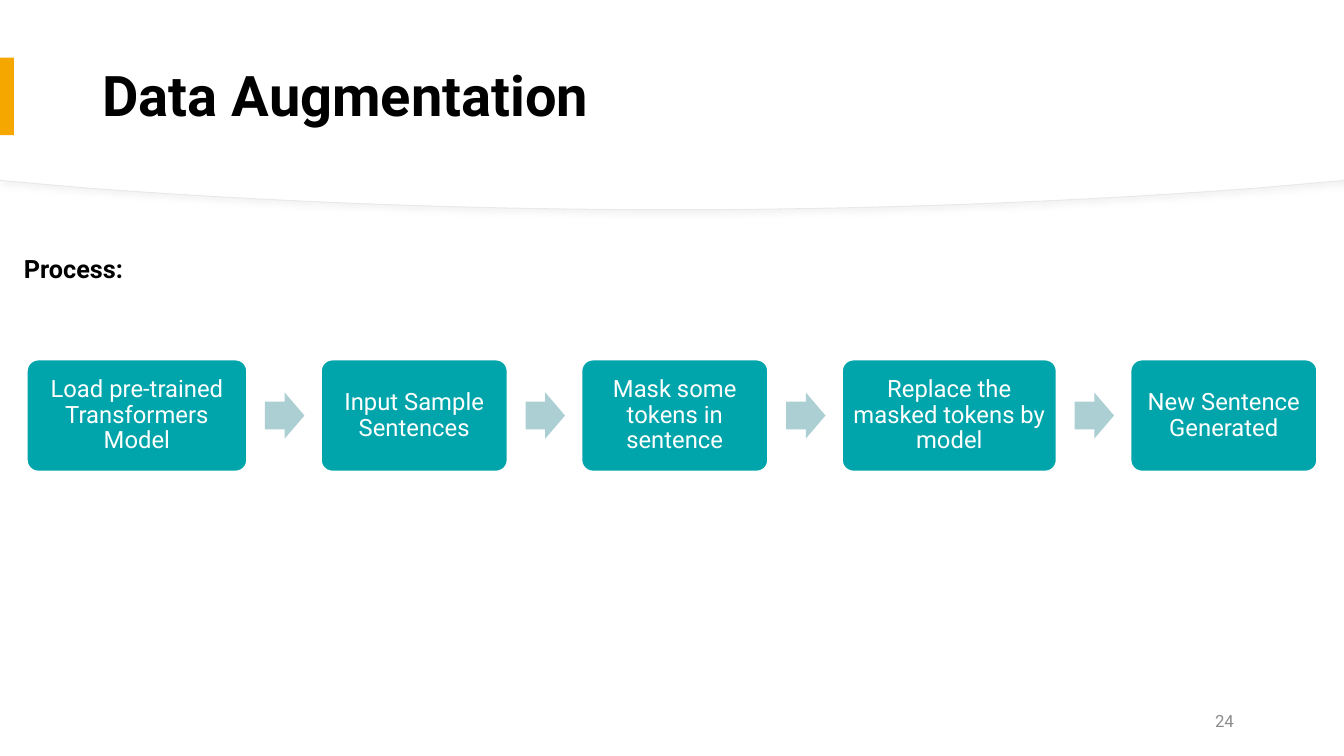
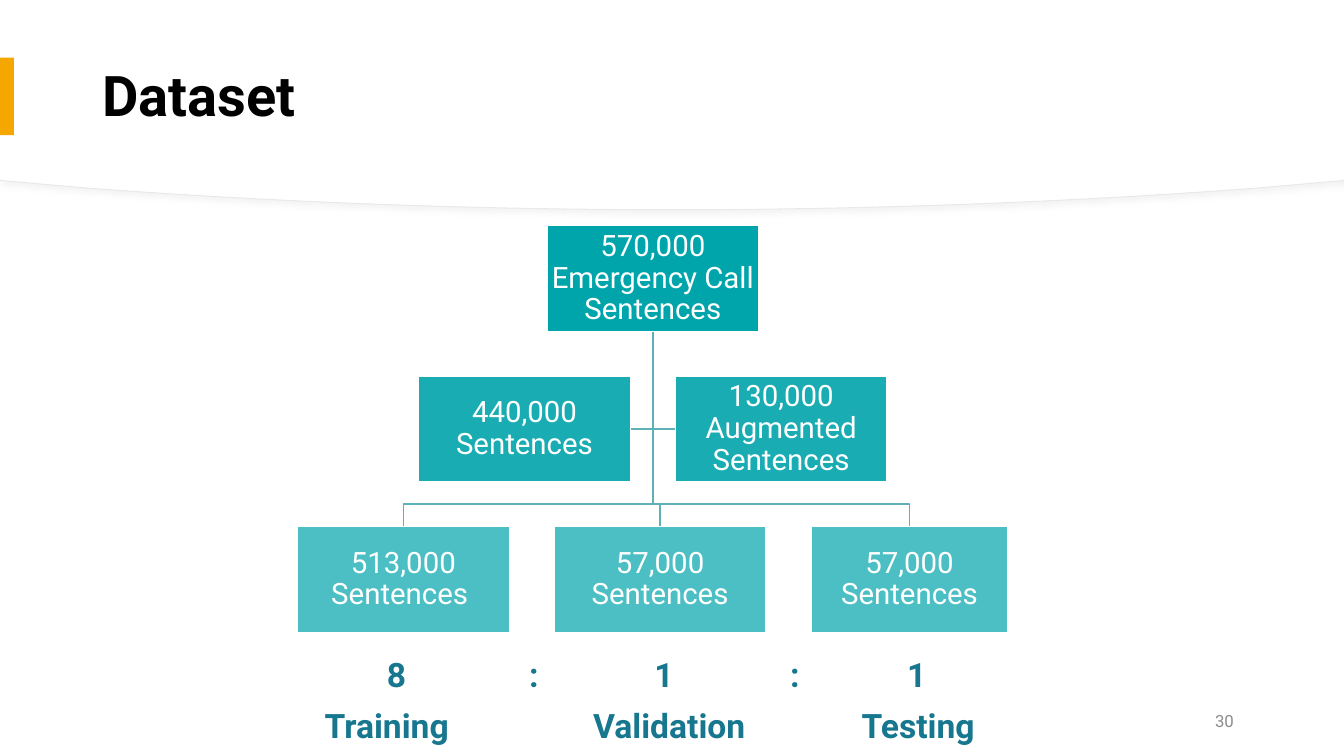
from dataclasses import dataclass

from lxml.etree import SubElement
from pptx import Presentation
from pptx.dml.color import RGBColor
from pptx.enum.shapes import MSO_SHAPE
from pptx.enum.text import MSO_ANCHOR, PP_ALIGN
from pptx.oxml.ns import qn
from pptx.shapes.autoshape import Shape
from pptx.slide import Slide
from pptx.util import Pt

FONT = "Roboto"
COLORS = {
    "white": "FFFFFF",
    "black": "000000",
    "accent": "F5A700",
    "teal": "00A5AB",
    "arrow": "ABCFD2",
    "branch": "5EB1B6",
    "ratio": "16778F",
    "page_number": "8C8C8C",
    "band_edge": "E9E9E9",
    "band_shadow": "D9D9D9",
}
SLIDE_WIDTH, SLIDE_HEIGHT = 960, 540
Point = tuple[float, float]


@dataclass(frozen=True)
class Box:
    left: float
    top: float
    width: float
    height: float

    @property
    def center(self) -> float:
        return self.left + self.width / 2

    @property
    def middle(self) -> float:
        return self.top + self.height / 2

    @property
    def right(self) -> float:
        return self.left + self.width

    @property
    def bottom(self) -> float:
        return self.top + self.height

    def lengths(self) -> tuple[Pt, Pt, Pt, Pt]:
        return Pt(self.left), Pt(self.top), Pt(self.width), Pt(self.height)


@dataclass(frozen=True)
class TextStyle:
    size: float
    color: str
    bold: bool = False
    align: PP_ALIGN = PP_ALIGN.LEFT
    anchor: MSO_ANCHOR = MSO_ANCHOR.MIDDLE
    line_spacing: float = 1.0


@dataclass(frozen=True)
class Step:
    text: str
    width: float


@dataclass(frozen=True)
class TreeLevel:
    texts: tuple[str, ...]
    widths: tuple[float, ...]
    opacity: int


@dataclass(frozen=True)
class TabbedLine:
    text: str
    box: Box
    tab_centers: tuple[float, ...]


TITLE_STYLE = TextStyle(40, "black", bold=True, line_spacing=0.9)
HEADING_STYLE = TextStyle(18, "black", bold=True, anchor=MSO_ANCHOR.TOP)
PAGE_NUMBER_STYLE = TextStyle(12, "page_number", align=PP_ALIGN.RIGHT)
STEP_STYLE = TextStyle(17, "white", align=PP_ALIGN.CENTER, line_spacing=0.9)
NODE_STYLE = TextStyle(21, "white", align=PP_ALIGN.CENTER, line_spacing=0.9)
RATIO_STYLE = TextStyle(24, "ratio", bold=True, anchor=MSO_ANCHOR.TOP)

STEPS = (
    Step("Load pre-trained Transformers Model", 157),
    Step("Input Sample Sentences", 133),
    Step("Mask some tokens in sentence", 133),
    Step("Replace the masked tokens by model", 153),
    Step("New Sentence Generated", 133),
)
STEP_LEFT, STEP_TOP, STEP_HEIGHT, STEP_GAP = 19.3, 257, 79.7, 53.1
ARROW_WIDTH, ARROW_HEIGHT = 28.2, 33

TREE_LEVELS = (
    TreeLevel(("570,000 Emergency Call Sentences",), (151.4,), 100),
    TreeLevel(("440,000 Sentences", "130,000 Augmented Sentences"), (151.4, 151.4), 90),
    TreeLevel(("513,000 Sentences ", "57,000 Sentences", "57,000 Sentences"), (151.4, 151.4, 141), 70),
)
TREE_CENTER, TREE_TOP, TREE_PITCH, NODE_HEIGHT, NODE_GAP = 466.3, 161.3, 107.5, 75.4, 32
BUS_TOP = 360

RATIO_LINES = (
    TabbedLine("8\t:\t1\t:\t1", Box(269.3, 463.7, 400.3, 36), (105, 198, 291.5, 378.5)),
    TabbedLine("Training\tValidation\tTesting", Box(224.8, 500, 486.7, 36), (246.2, 424)),
)


def rgb(name: str) -> RGBColor:
    return RGBColor.from_string(COLORS[name])


def write_text(shape: Shape, text: str, style: TextStyle) -> None:
    frame = shape.text_frame
    frame.word_wrap = True
    frame.vertical_anchor = style.anchor
    frame.text = text
    paragraph = frame.paragraphs[0]
    paragraph.alignment = style.align
    paragraph.line_spacing = style.line_spacing
    for run in paragraph.runs:
        run.font.name = FONT
        run.font.size = Pt(style.size)
        run.font.bold = style.bold
        run.font.color.rgb = rgb(style.color)


def add_text(slide: Slide, box: Box, text: str, style: TextStyle) -> Shape:
    shape = slide.shapes.add_textbox(*box.lengths())
    write_text(shape, text, style)
    return shape


def add_tabbed_line(slide: Slide, line: TabbedLine) -> None:
    shape = add_text(slide, line.box, line.text, RATIO_STYLE)
    properties = shape.text_frame.paragraphs[0]._p.get_or_add_pPr()
    tabs = SubElement(properties, qn("a:tabLst"))
    for center in line.tab_centers:
        SubElement(tabs, qn("a:tab"), pos=str(Pt(center)), algn="ctr")


def set_margins(shape: Shape, margin: float) -> None:
    frame = shape.text_frame
    frame.margin_left = frame.margin_right = Pt(margin)
    frame.margin_top = frame.margin_bottom = Pt(margin)


def paint(shape: Shape, fill: str | None, line: str | None = None, line_width: float = 1) -> None:
    shape.shadow.inherit = False
    if fill is None:
        shape.fill.background()
    else:
        shape.fill.solid()
        shape.fill.fore_color.rgb = rgb(fill)
    if line is None:
        shape.line.fill.background()
    else:
        shape.line.color.rgb = rgb(line)
        shape.line.width = Pt(line_width)


def add_shape(slide: Slide, kind: MSO_SHAPE, box: Box, fill: str, line: str | None = None) -> Shape:
    shape = slide.shapes.add_shape(kind, *box.lengths())
    paint(shape, fill, line)
    return shape


def add_outline(slide: Slide, points: list[Point], close: bool) -> Shape:
    start, *others = [(Pt(x), Pt(y)) for x, y in points]
    builder = slide.shapes.build_freeform(*start, scale=1.0)
    builder.add_line_segments(others, close=close)
    return builder.convert_to_shape()


def set_opacity(shape: Shape, percent: int) -> None:
    color = shape.fill._xPr.find(qn("a:solidFill"))[0]
    SubElement(color, qn("a:alpha"), val=str(percent * 1000))


def add_soft_shadow(shape: Shape) -> None:
    effects = shape._element.spPr.find(qn("a:effectLst"))
    shadow = SubElement(
        effects, qn("a:outerShdw"), blurRad=str(Pt(4)), dist=str(Pt(3)),
        dir=str(45 * 60000), algn="tl", rotWithShape="0",
    )
    color = SubElement(shadow, qn("a:srgbClr"), val=COLORS["band_shadow"])
    SubElement(color, qn("a:alpha"), val="30000")


def bend_segments(shape: Shape, first: int, count: int) -> None:
    """Turn each three straight segments from the given one on into a Bézier curve."""
    segments = list(shape._element.iter(qn("a:lnTo")))[first:first + 3 * count]
    for index in range(0, len(segments), 3):
        curve = segments[index]
        curve.tag = qn("a:cubicBezTo")
        for segment in segments[index + 1:index + 3]:
            curve.append(segment[0])
            segment.getparent().remove(segment)


def add_header_band(slide: Slide, bottom: float, line: str | None) -> Shape:
    """Draw a white band whose lower edge sags towards the middle."""
    left_edge = [
        (0, bottom - 20.9), (65.4, bottom - 15.2), (193, bottom - 5.8), (333.4, bottom),
    ]
    right_edge = [(SLIDE_WIDTH - x, y) for x, y in left_edge]
    points = [(0, 0), (SLIDE_WIDTH, 0), *right_edge, (SLIDE_WIDTH / 2, bottom), *reversed(left_edge)]
    band = add_outline(slide, points, close=True)
    bend_segments(band, first=3, count=2)
    paint(band, "white", line, 0.75)
    return band


def add_base_slide(presentation: Presentation, title: str, number: int) -> Slide:
    slide = presentation.slides.add_slide(presentation.slide_layouts[6])
    add_shape(slide, MSO_SHAPE.RECTANGLE, Box(0, 0, SLIDE_WIDTH, SLIDE_HEIGHT), "white")
    add_soft_shadow(add_header_band(slide, 149.8, "band_edge"))
    add_header_band(slide, 149.1, None)
    add_text(slide, Box(66.2, 20, 828, 100), title, TITLE_STYLE)
    add_shape(slide, MSO_SHAPE.RECTANGLE, Box(0, 41.2, 10, 55.4), "accent")
    add_text(slide, Box(672.5, 500.4, 216, 28.8), str(number), PAGE_NUMBER_STYLE)
    return slide


def add_process(slide: Slide) -> None:
    left = STEP_LEFT
    for index, step in enumerate(STEPS):
        box = Box(left, STEP_TOP, step.width, STEP_HEIGHT)
        if index:
            arrow_left = left - (STEP_GAP + ARROW_WIDTH) / 2 + 0.5
            arrow_box = Box(arrow_left, box.middle - ARROW_HEIGHT / 2, ARROW_WIDTH, ARROW_HEIGHT)
            arrow = add_shape(slide, MSO_SHAPE.RIGHT_ARROW, arrow_box, "arrow")
            arrow.adjustments[0] = 0.6
        card = add_shape(slide, MSO_SHAPE.ROUNDED_RECTANGLE, box, "teal", "white")
        card.adjustments[0] = 0.1
        set_margins(card, 5)
        write_text(card, step.text, STEP_STYLE)
        left = box.right + STEP_GAP


def level_boxes(level: TreeLevel, top: float) -> list[Box]:
    """Lay out one centred row of nodes."""
    left = TREE_CENTER - (sum(level.widths) + NODE_GAP * (len(level.widths) - 1)) / 2
    boxes = []
    for width in level.widths:
        boxes.append(Box(left, top, width, NODE_HEIGHT))
        left += width + NODE_GAP
    return boxes


def add_tree(slide: Slide) -> None:
    rows = [level_boxes(level, TREE_TOP + index * TREE_PITCH) for index, level in enumerate(TREE_LEVELS)]
    (root,), (first, second), splits = rows
    start = (root.center, root.bottom)
    turn = (root.center, first.middle)
    branches = [[start, turn, (second.left, second.middle)], [start, turn, (first.right, first.middle)]]
    for box in reversed(splits):
        branches.append([start, (root.center, BUS_TOP), (box.center, BUS_TOP), (box.center, box.top)])
    for points in branches:
        paint(add_outline(slide, points, close=False), None, "branch")

    for level, boxes in zip(TREE_LEVELS, rows):
        for text, box in zip(level.texts, boxes):
            node = add_shape(slide, MSO_SHAPE.RECTANGLE, box, "teal", "white")
            set_opacity(node, level.opacity)
            set_margins(node, 1)
            write_text(node, text, NODE_STYLE)


def main() -> None:
    presentation = Presentation()
    presentation.slide_width = Pt(SLIDE_WIDTH)
    presentation.slide_height = Pt(SLIDE_HEIGHT)

    augmentation = add_base_slide(presentation, "Data Augmentation", 24)
    add_text(augmentation, Box(10, 177.5, 100, 29), "Process:", HEADING_STYLE)
    add_process(augmentation)

    dataset = add_base_slide(presentation, "Dataset", 30)
    add_tree(dataset)
    for line in RATIO_LINES:
        add_tabbed_line(dataset, line)

    presentation.save("out.pptx")


if __name__ == "__main__":
    main()
